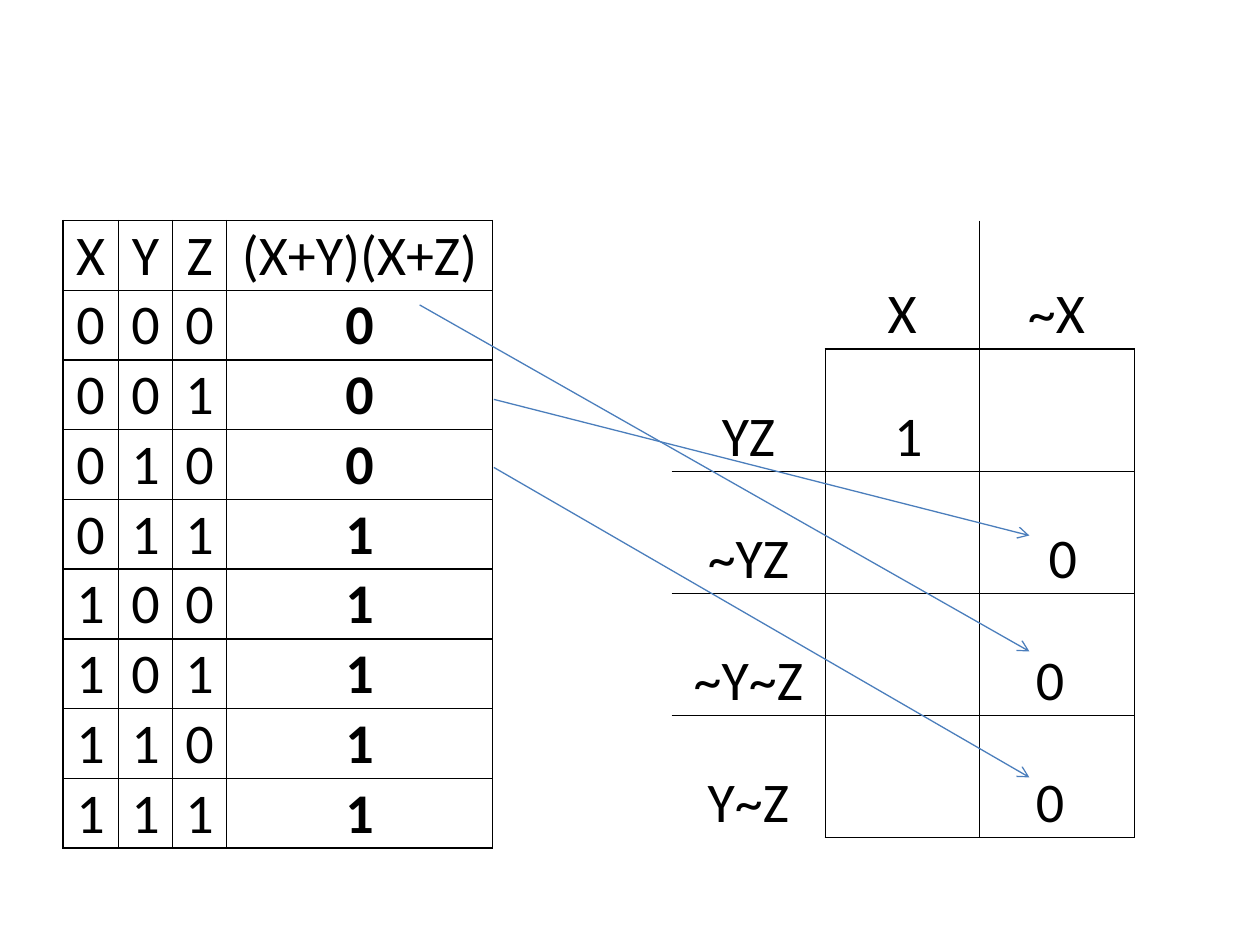
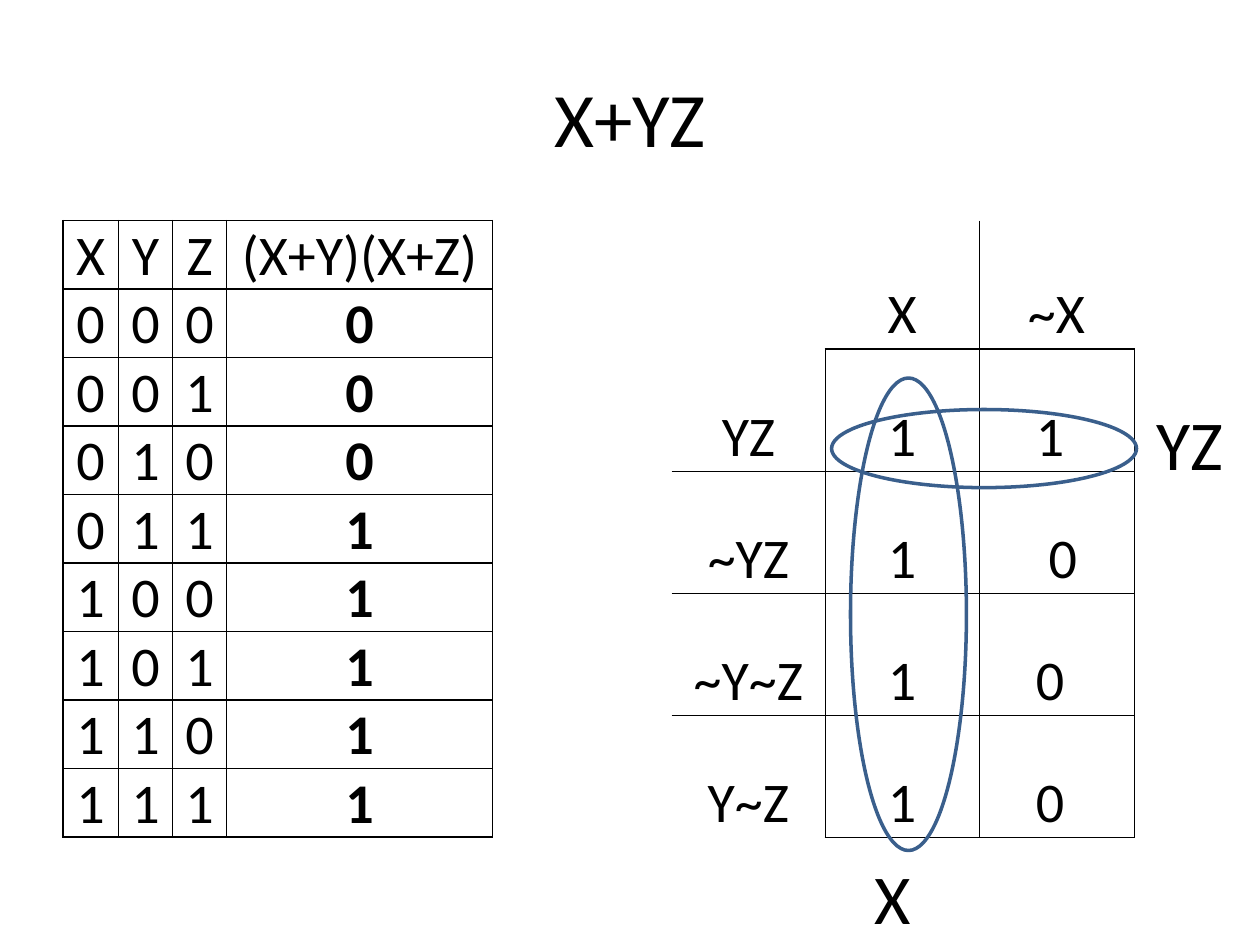
from dataclasses import dataclass
from itertools import product
from typing import Callable, NamedTuple

from lxml.etree import SubElement
from pptx import Presentation
from pptx.dml.color import RGBColor
from pptx.enum.shapes import MSO_CONNECTOR, MSO_SHAPE
from pptx.enum.text import MSO_ANCHOR, MSO_AUTO_SIZE, PP_ALIGN
from pptx.oxml.ns import qn
from pptx.slide import Slide
from pptx.table import _Cell
from pptx.text.text import TextFrame
from pptx.util import Inches, Pt


@dataclass(frozen=True)
class Theme:
    """Colours, font and type sizes shared by the slides."""
    ink: RGBColor = RGBColor.from_string("000000")
    arrow: RGBColor = RGBColor.from_string("4B7EBC")
    loop: RGBColor = RGBColor.from_string("3A5F8C")
    font: str = "Calibri"
    title_size: float = 44
    label_size: float = 40
    cell_size: float = 32
    thick: float = 1
    thin: float = 0.5


class Box(NamedTuple):
    """Left, top, width and height in inches."""
    left: float
    top: float
    width: float
    height: float


class Arrow(NamedTuple):
    """Start and end points of an arrow in inches."""
    start_x: float
    start_y: float
    end_x: float
    end_y: float


class Label(NamedTuple):
    """A text and the box that holds it."""
    text: str
    box: Box


class Edges(NamedTuple):
    """Border widths of a cell in points, zero for no line."""
    left: float
    right: float
    top: float
    bottom: float


@dataclass(frozen=True)
class TableLook:
    """Place, sizes and border rule of a table."""
    box: Box
    columns: list[float]
    rows: list[float]
    side_margin: float
    edges: Callable[[int, int], Edges]
    bold_column: int = -1


THEME = Theme()


def truth_edges(row: int, column: int) -> Edges:
    """Frame every truth table cell alike."""
    return Edges(*[THEME.thick] * 4)


def map_vertical(row: int, line: int) -> float:
    """Width of a vertical rule of the map beside a row."""
    if row == 0:
        return THEME.thin if line == 2 else 0
    return (0, THEME.thick, THEME.thin, THEME.thin)[line]


def map_horizontal(line: int, column: int) -> float:
    """Width of a horizontal rule of the map within a column."""
    if line == 0 or (column == 0 and line in (1, 5)):
        return 0
    return THEME.thick if line == 1 else THEME.thin


def map_edges(row: int, column: int) -> Edges:
    """Combine the rules around one cell of the map."""
    return Edges(map_vertical(row, column), map_vertical(row, column + 1),
                 map_horizontal(row, column), map_horizontal(row + 1, column))


TRUTH_LOOK = TableLook(Box(0.5, 1.75, 3.42, 4.89), [0.44, 0.43, 0.43, 2.11],
                       [0.54] * 9, 0.04, truth_edges, bold_column=3)
MAP_LOOK = TableLook(Box(5.33, 1.75, 3.67, 4.92), [1.22, 1.22, 1.23],
                     [1.02] + [0.97] * 4, 0.01, map_edges)
TRUTH_CELLS = [["X", "Y", "Z", "(X+Y)(X+Z)"]] + [
    [str(value) for value in (x, y, z, (x | y) & (x | z))]
    for x, y, z in product((0, 1), repeat=3)
]
MAP_TERMS = ["YZ", "~YZ", "~Y~Z", "Y~Z"]
ARROWS = [
    Arrow(3.33, 2.42, 8.17, 5.17),
    Arrow(3.92, 3.17, 8.17, 4.25),
    Arrow(3.92, 3.71, 8.17, 6.17),
]
LOOPS = [Box(6.75, 3, 0.92, 3.75), Box(6.6, 3.25, 2.42, 0.62)]
LOOP_LABELS = [
    Label("YZ", Box(9.08, 3.13, 0.74, 0.77)),
    Label("X", Box(6.84, 6.73, 0.49, 0.77)),
]
TITLE_BOX = Box(0.5, 0.3, 9, 1.25)


def inches(values: tuple) -> list[Inches]:
    """Turn plain numbers into lengths."""
    return [Inches(value) for value in values]


def write_text(frame: TextFrame, text: str, *, size: float, bold: bool = False,
               align: PP_ALIGN = PP_ALIGN.CENTER) -> None:
    """Write one formatted line into a text frame."""
    paragraph = frame.paragraphs[0]
    paragraph.alignment = align
    run = paragraph.add_run()
    run.text = text
    run.font.name = THEME.font
    run.font.size = Pt(size)
    run.font.bold = bold
    run.font.color.rgb = THEME.ink


def set_borders(cell: _Cell, edges: Edges) -> None:
    """Draw or clear the four borders of a cell."""
    properties = cell._tc.get_or_add_tcPr()
    for tag, width in zip(("a:lnL", "a:lnR", "a:lnT", "a:lnB"), edges):
        line = SubElement(properties, qn(tag), w=str(Pt(width)))
        if width:
            fill = SubElement(line, qn("a:solidFill"))
            SubElement(fill, qn("a:srgbClr"), val=str(THEME.ink))
        else:
            SubElement(line, qn("a:noFill"))


def add_grid(slide: Slide, look: TableLook, texts: list[list[str]]) -> None:
    """Add a table with its texts and borders."""
    table = slide.shapes.add_table(len(look.rows), len(look.columns),
                                   *inches(look.box)).table
    table.first_row = table.horz_banding = False
    for column, width in zip(table.columns, look.columns):
        column.width = Inches(width)
    for row, height in zip(table.rows, look.rows):
        row.height = Inches(height)
    for row_index, row_texts in enumerate(texts):
        for column_index, text in enumerate(row_texts):
            cell = table.cell(row_index, column_index)
            cell.margin_left = cell.margin_right = Inches(look.side_margin)
            cell.margin_top, cell.margin_bottom = Inches(0.01), Inches(0)
            cell.vertical_anchor = MSO_ANCHOR.BOTTOM
            set_borders(cell, look.edges(row_index, column_index))
            cell.fill.background()
            if text:
                bold = row_index > 0 and column_index == look.bold_column
                write_text(cell.text_frame, text, size=THEME.cell_size, bold=bold)


def add_tables(slide: Slide, map_values: list[list[str]]) -> None:
    """Add the truth table and the map with the given values."""
    add_grid(slide, TRUTH_LOOK, TRUTH_CELLS)
    map_cells = [["", "X", "~X"]]
    map_cells += [[term, *values] for term, values in zip(MAP_TERMS, map_values)]
    add_grid(slide, MAP_LOOK, map_cells)


def add_arrow(slide: Slide, arrow: Arrow) -> None:
    """Add a thin arrow from a truth table row to a map cell."""
    connector = slide.shapes.add_connector(MSO_CONNECTOR.STRAIGHT, *inches(arrow))
    connector.line.color.rgb = THEME.arrow
    connector.line.width = Pt(0.75)
    SubElement(connector.line._get_or_add_ln(), qn("a:tailEnd"), type="arrow")
    SubElement(connector._element.spPr, qn("a:effectLst"))


def add_loop(slide: Slide, box: Box) -> None:
    """Add an unfilled ellipse around a group of ones."""
    loop = slide.shapes.add_shape(MSO_SHAPE.OVAL, *inches(box))
    loop.shadow.inherit = False
    loop.fill.background()
    loop.line.color.rgb = THEME.loop
    loop.line.width = Pt(2)


def add_title(slide: Slide, text: str) -> None:
    """Add the centred slide title."""
    frame = slide.shapes.add_textbox(*inches(TITLE_BOX)).text_frame
    frame.word_wrap = True
    frame.vertical_anchor = MSO_ANCHOR.MIDDLE
    write_text(frame, text, size=THEME.title_size)


def add_loop_label(slide: Slide, label: Label) -> None:
    """Add the name of a loop beside it."""
    frame = slide.shapes.add_textbox(*inches(label.box)).text_frame
    frame.word_wrap = False
    frame.auto_size = MSO_AUTO_SIZE.SHAPE_TO_FIT_TEXT
    write_text(frame, label.text, size=THEME.label_size, align=PP_ALIGN.LEFT)


def main() -> None:
    """Build both slides and save the presentation."""
    presentation = Presentation()
    presentation.slide_width, presentation.slide_height = Inches(10), Inches(7.5)
    blank = presentation.slide_layouts[6]

    transfer_slide = presentation.slides.add_slide(blank)
    add_tables(transfer_slide, [[" 1", ""], ["", " 0"], ["", "0 "], ["", "0 "]])
    for arrow in ARROWS:
        add_arrow(transfer_slide, arrow)

    grouping_slide = presentation.slides.add_slide(blank)
    add_title(grouping_slide, "X+YZ")
    add_tables(grouping_slide, [["1", "1 "], ["1", " 0"], ["1", "0 "], ["1", "0 "]])
    for box in LOOPS:
        add_loop(grouping_slide, box)
    for label in LOOP_LABELS:
        add_loop_label(grouping_slide, label)

    presentation.save("out.pptx")


if __name__ == "__main__":
    main()
